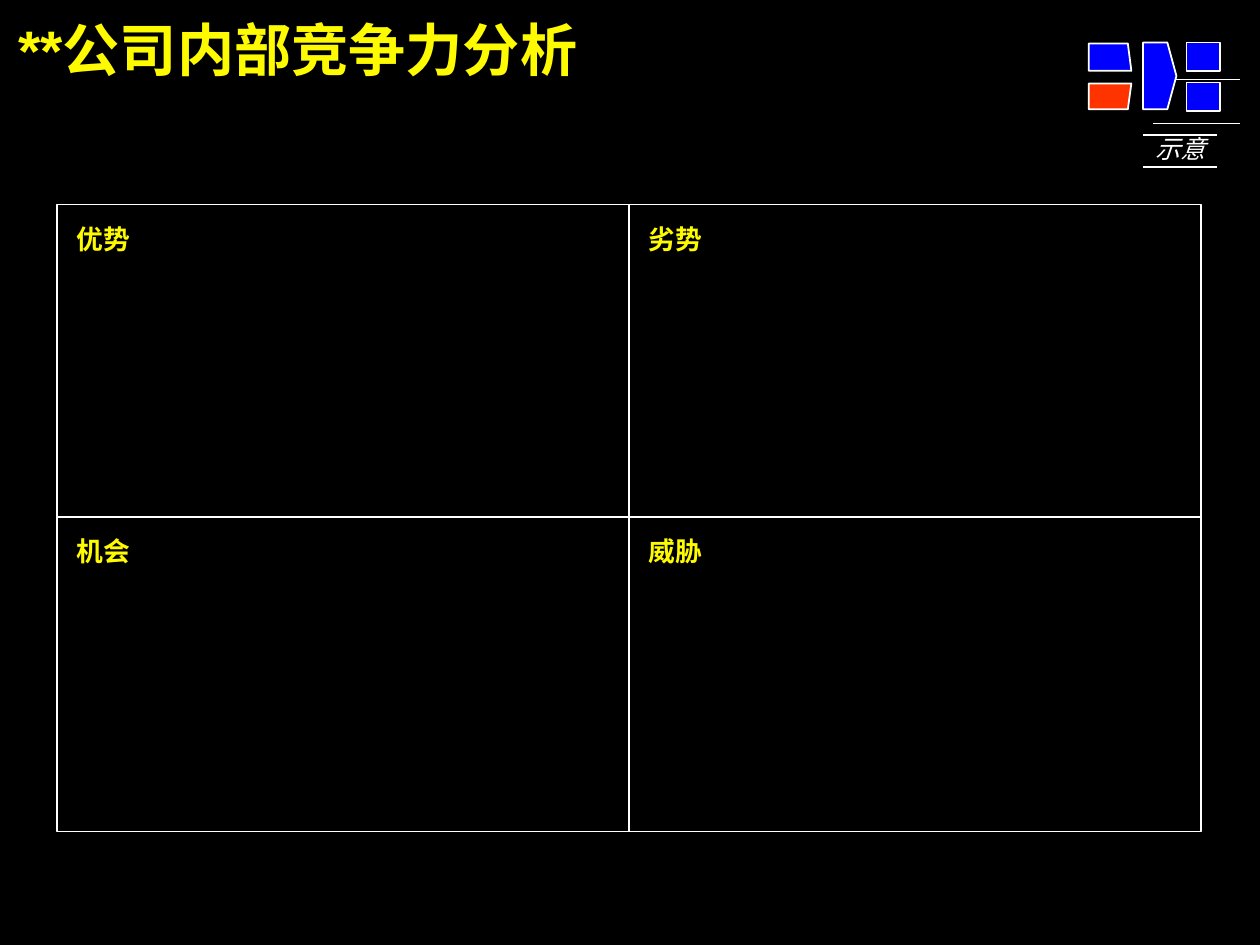
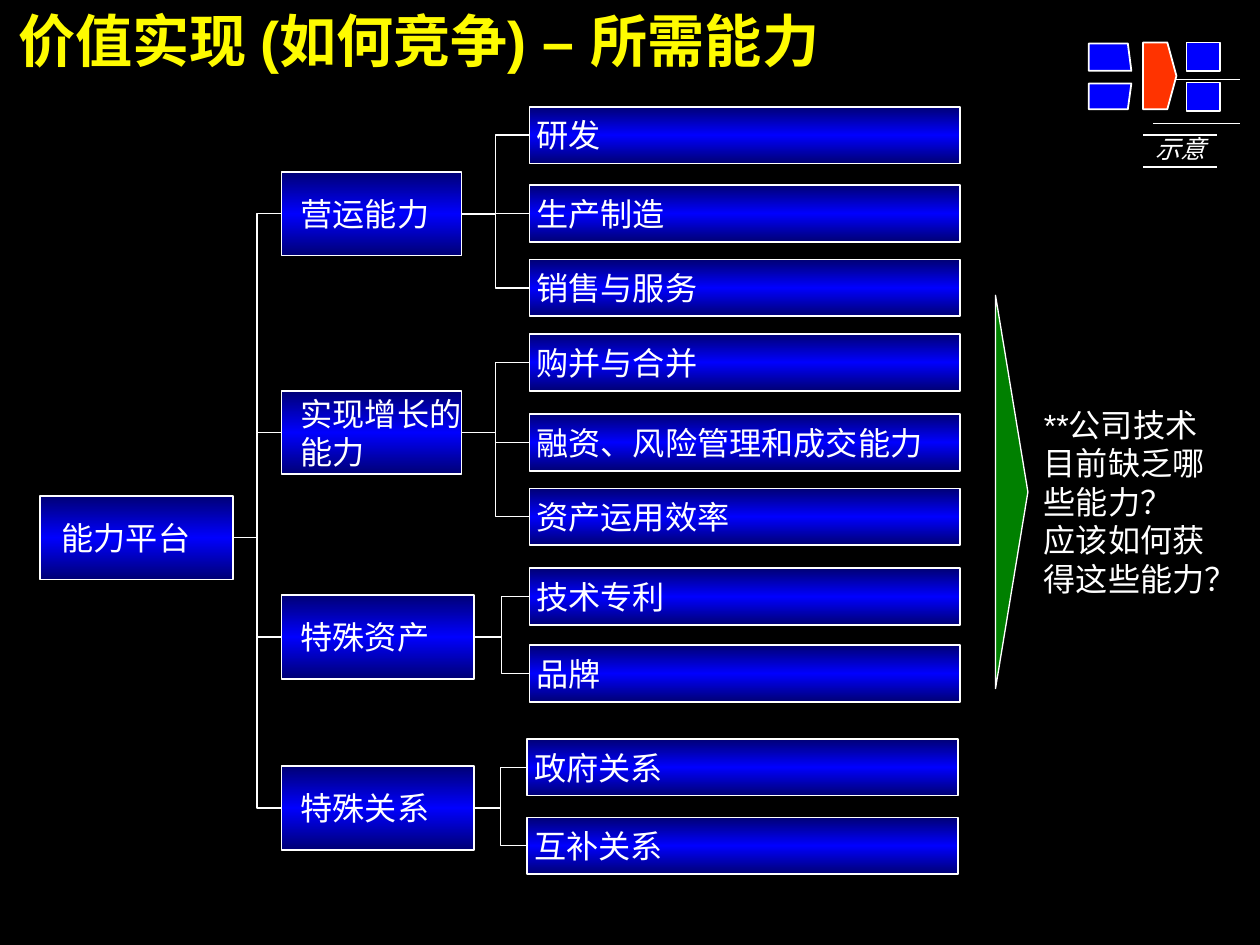
"""Build two strategy slides: a SWOT grid and a capability tree."""
import copy

import lxml.etree
import pptx
import pptx.dml.color
import pptx.enum.shapes
import pptx.enum.text
import pptx.oxml.ns
import pptx.util

Cm = pptx.util.Cm
Pt = pptx.util.Pt
SHAPE = pptx.enum.shapes.MSO_SHAPE
CONNECTOR = pptx.enum.shapes.MSO_CONNECTOR
ALIGN = pptx.enum.text.PP_ALIGN
ANCHOR = pptx.enum.text.MSO_ANCHOR
qn = pptx.oxml.ns.qn
COLORS = {"black": "000000", "white": "FFFFFF", "yellow": "FEFB00", "blue": "0000FE",
          "navy": "000075", "red": "FF3300", "green": "008000"}
RGB = {name: pptx.dml.color.RGBColor.from_string(value) for name, value in COLORS.items()}


def outline(sp, width, fill=None):
    """Give a shape or connector a white line, no shadow and an optional fill."""
    sp.line.color.rgb = RGB["white"]
    sp.line.width = Pt(width)
    lxml.etree.SubElement(sp._element.spPr, qn("a:effectLst"))
    if fill:
        sp.fill.solid()
        sp.fill.fore_color.rgb = RGB[fill]


def write(tf, lines, size, color="white", bold=False, italic=False, font="Arial",
          align=ALIGN.LEFT, anchor=ANCHOR.TOP, left=0, top=0, wrap=True):
    """Fill a text frame with one run per line."""
    tf.word_wrap = wrap
    tf.auto_size = pptx.enum.text.MSO_AUTO_SIZE.NONE
    tf.vertical_anchor = anchor
    tf.margin_left, tf.margin_top = Cm(left), Cm(top)
    tf.margin_right = tf.margin_bottom = 0
    for i, line in enumerate(lines):
        p = tf.paragraphs[0] if i == 0 else tf.add_paragraph()
        p.alignment = align
        r = p.add_run()
        r.text = line
        r.font.size = Pt(size)
        r.font.bold = bold
        r.font.italic = italic
        r.font.color.rgb = RGB[color]
        r.font.name = font
        ea = lxml.etree.SubElement(r._r.get_or_add_rPr(), qn("a:ea"))
        ea.set("typeface", "Noto Sans CJK SC")


prs = pptx.Presentation()
prs.slide_width, prs.slide_height = Cm(24.89), Cm(18.67)
layout = prs.slide_layouts[5]
layout.background.fill.solid()
layout.background.fill.fore_color.rgb = RGB["black"]
for ph in list(layout.placeholders)[1:]:
    ph._element.getparent().remove(ph._element)

NAVIGATOR = {
    "top right": [(23.44, 0.84), (24.1, 0.84), (24.1, 1.4), (23.44, 1.4)],
    "bottom right": [(23.44, 1.63), (24.1, 1.63), (24.1, 2.19), (23.44, 2.19)],
    "middle": [(22.58, 0.84), (23.06, 0.84), (23.24, 1.5), (23.06, 2.16), (22.58, 2.16)],
    "bottom left": [(21.51, 2.16), (22.28, 2.16), (22.35, 1.65), (21.51, 1.65)],
    "top left": [(21.51, 0.86), (22.28, 0.86), (22.35, 1.4), (21.51, 1.4)],
}
PAGES = [("**公司内部竞争力分析", 0.28, "bottom left"),
         ("价值实现 (如何竞争) – 所需能力", 0.1, "middle")]
slides = []
for title, top, active in PAGES:
    s = prs.slides.add_slide(layout)
    slides.append(s)
    sp = s.shapes.title
    sp.left, sp.top, sp.width, sp.height = Cm(0.36), Cm(top), Cm(24.1), Cm(1.35)
    write(sp.text_frame, [title], 32, "yellow", bold=True)
    for part, points in NAVIGATOR.items():
        points = [(Cm(x), Cm(y)) for x, y in points]
        builder = s.shapes.build_freeform(*points[0])
        builder.add_line_segments(points[1:], close=True)
        outline(builder.convert_to_shape(), 1, "red" if part == active else "blue")
    sp = s.shapes.add_textbox(Cm(22.83), Cm(2.64), Cm(0.99), Cm(0.58))
    write(sp.text_frame, ["示意"], 14, italic=True, font="Noto Sans CJK SC",
          align=ALIGN.RIGHT, wrap=False)
    for y in (2.67, 3.3):
        sp = s.shapes.add_connector(CONNECTOR.STRAIGHT, Cm(22.58), Cm(y), Cm(24.05), Cm(y))
        outline(sp, 0.75)

swot, tree = slides

for y in (1.57, 2.44):
    sp = swot.shapes.add_connector(CONNECTOR.STRAIGHT, Cm(22.78), Cm(y), Cm(24.49), Cm(y))
    outline(sp, 1)
    layout.shapes._spTree.append(sp._element)

for i, label in enumerate(["优势", "劣势", "机会", "威胁"]):
    row, col = divmod(i, 2)
    sp = swot.shapes.add_shape(SHAPE.RECTANGLE, Cm(1.12 + 11.3 * col), Cm(4.04 + 6.17 * row),
                               Cm(11.3), Cm(6.22))
    outline(sp, 1, "black")
    write(sp.text_frame, [label], 15, "yellow", bold=True, left=0.4, top=0.36)

ROOT = ("能力平台", 0.79, 9.8, 3.81, 1.65, 0.43, None)
BRANCHES = [
    ("营运能力", 3.4, 3.56, 10.46, [("研发", 2.11), ("生产制造", 3.66), ("销售与服务", 5.13)]),
    ("实现增长的能力", 7.72, 3.56, 10.46,
     [("购并与合并", 6.6), ("融资、风险管理和成交能力", 8.18), ("资产运用效率", 9.65)]),
    ("特殊资产", 11.76, 3.81, 10.46, [("技术专利", 11.23), ("品牌", 12.75)]),
    ("特殊关系", 15.14, 3.81, 10.41, [("政府关系", 14.6), ("互补关系", 16.15)]),
]
nodes = [ROOT]
for label, top, width, leaf_left, leaves in BRANCHES:
    nodes.append((label, 5.56, top, width, 1.65, 0.38, ROOT[0]))
    for leaf, leaf_top in leaves:
        nodes.append((leaf, leaf_left, leaf_top, 8.51, 1.12, 0.14, label))

boxes = {}
for label, left, top, width, height, inset, parent in nodes:
    sp = tree.shapes.add_shape(SHAPE.RECTANGLE, Cm(left), Cm(top), Cm(width), Cm(height))
    outline(sp, 1)
    sp.fill.gradient()
    sp.fill.gradient_angle = 270
    first = sp._element.spPr.find(".//" + qn("a:gs"))
    first.addnext(copy.deepcopy(first))
    for stop, position, color in zip(sp.fill.gradient_stops, (0, 0.5, 1),
                                     ("navy", "blue", "navy")):
        stop.position = position
        stop.color.rgb = RGB[color]
    write(sp.text_frame, [label], 18, anchor=ANCHOR.MIDDLE, left=inset)
    boxes[label] = sp
    if parent:
        link = tree.shapes.add_connector(CONNECTOR.ELBOW, 0, 0, 0, 0)
        link.begin_connect(boxes[parent], 3)
        link.end_connect(sp, 1)
        outline(link, 0.75)

sp = tree.shapes.add_shape(SHAPE.ISOSCELES_TRIANGLE, Cm(16.1), Cm(9.4), Cm(7.77), Cm(0.64))
sp.rotation = 90
outline(sp, 0.75, "green")
sp = tree.shapes.add_textbox(Cm(20.62), Cm(8), Cm(3.61), Cm(4.57))
write(sp.text_frame, ["**公司技术目前缺乏哪些能力？", "应该如何获得这些能力？"], 18)

prs.save("out.pptx")
